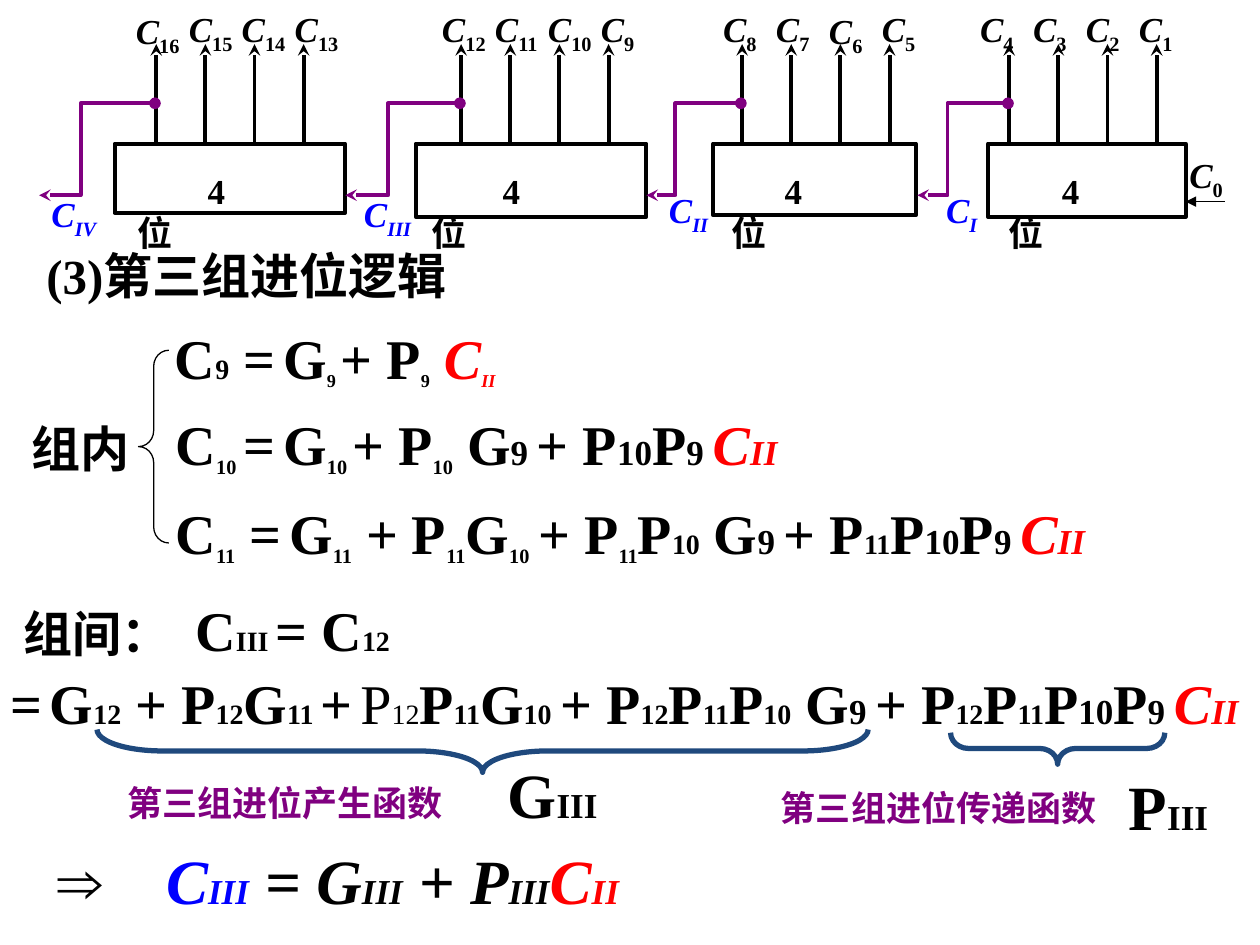
from lxml import etree
from pptx import Presentation
from pptx import util as u
from pptx.dml.color import RGBColor
from pptx.enum import shapes, text
from pptx.oxml.ns import qn

BLACK = RGBColor(0, 0, 0)
RED = RGBColor(0xFF, 0, 0)
BLUE = RGBColor(0, 0, 0xFF)
PURPLE = RGBColor(0x80, 0, 0x80)
NAVY = RGBColor(0x1F, 0x49, 0x7D)
FONT = "Times New Roman"


def add_text(x, y, w, h, runs, color=BLACK, wrap=False, margin=0.1):
    """Runs are (text, size, flags): - subscript, i italic, n not bold, r red, b blue."""
    tf = s.shapes.add_textbox(u.Inches(x), u.Inches(y), u.Inches(w), u.Inches(h)).text_frame
    tf.word_wrap = wrap
    tf.auto_size = text.MSO_AUTO_SIZE.SHAPE_TO_FIT_TEXT
    tf.margin_left = tf.margin_right = u.Inches(margin)
    p = tf.paragraphs[0]
    for words, size, *rest in runs:
        flags = rest[0] if rest else ""
        r = p.add_run()
        r.text = words
        f = r.font
        f.name, f.size = FONT, u.Pt(size)
        f.bold, f.italic = "n" not in flags, "i" in flags
        f.color.rgb = RED if "r" in flags else BLUE if "b" in flags else color
        if "-" in flags:
            r._r.get_or_add_rPr().set("baseline", "-25000")
    return p


def style_line(sp, color, width, head=None, tail=None):
    sp.line.color.rgb = color
    sp.line.width = u.Pt(width)
    spPr = sp._element.spPr
    ln = spPr.find(qn("a:ln"))
    for tag, kind in (("a:headEnd", head), ("a:tailEnd", tail)):
        if kind:
            etree.SubElement(ln, qn(tag)).set("type", kind)
    etree.SubElement(spPr, qn("a:effectLst"))


prs = Presentation()
prs.slide_width, prs.slide_height = u.Inches(10), u.Inches(7.5)
s = prs.slides.add_slide(prs.slide_layouts[6])

# Formulas inside the group
CII = [("C", 32, "ir"), ("II", 20, "ir")]
add_text(1.29, 2.52, 2.92, 0.63, [
    ("C", 32), ("9", 16), (" =", 32), (" ", 18), ("G", 32), ("9 ", 18, "-"), ("+ P", 32),
    ("9", 18, "-"), (" ", 32), ("C", 32, "ir"), ("II", 18, "ir-")])
add_text(1.24, 3.2, 5.12, 0.63, [
    (" ", 16), ("C", 32), ("10", 20, "-"), (" ", 16), ("=", 32), (" ", 18), ("G", 32),
    ("10 ", 20, "-"), ("+ P", 32), ("10", 20, "-"), (" G", 32), ("9 ", 20), ("+ P", 32),
    ("10", 20), ("P", 32), ("9 ", 20)] + CII)
add_text(1.24, 3.91, 7.63, 0.63, [
    (" ", 16), ("C", 32), ("11", 20, "-"), (" =", 32), (" ", 18), ("G", 32),
    ("11", 20, "-"), (" + P", 32), ("11", 20, "-"), ("G", 32), ("10", 20, "-"), (" ", 20),
    ("+ P", 32), ("11", 20, "-"), ("P", 32), ("10", 16), (" G", 32), ("9 ", 20), ("+ P", 32),
    ("11", 16), ("P", 32), ("10", 20), ("P", 32), ("9 ", 20)] + CII)

# Headings and function names
for x, y, w, h, words, size, color in (
        (0.15, 3.27, 2.36, 0.57, "组内", 28, BLACK),
        (0.27, 1.9, 4.02, 0.57, "(3)第三组进位逻辑", 28, BLACK),
        (0.09, 4.74, 2.36, 0.57, "组间：", 28, BLACK),
        (0.91, 6.15, 3.32, 0.44, "第三组进位产生函数", 20, PURPLE),
        (6.1, 6.19, 2.93, 0.44, "第三组进位传递函数", 20, PURPLE)):
    add_text(x, y, w, h, [(words, size)], color, wrap=True)

# Carry between groups
add_text(1.44, 4.68, 3.15, 0.63, [
    (" C", 32), ("III ", 16), ("= C", 32), ("12", 16)], wrap=True, margin=0)
add_text(0.08, 5.26, 9.84, 0.63, [
    ("=", 32), (" ", 18), ("G", 32), ("12", 16), (" + P", 32), ("12", 16), ("G", 32),
    ("11 ", 16), ("+", 32), (" ", 18, "n"), ("P", 32, "n"), ("12", 16, "n"), ("P", 32),
    ("11", 16), ("G", 32), ("10", 16), (" ", 20), ("+ P", 32), ("12", 16), ("P", 32),
    ("11", 16), ("P", 32), ("10", 16), (" G", 32), ("9 ", 20), ("+ P", 32), ("12", 16),
    ("P", 32), ("11", 16), ("P", 32), ("10", 20), ("P", 32), ("9 ", 20)] + CII, margin=0)
for x, y, letter in ((3.93, 5.95, "G"), (8.86, 6.04, "P")):
    add_text(x, y, 1.05, 0.7, [(letter, 36), ("III", 20)], wrap=True)

# Result, with a tab stop after the arrow
p = add_text(0.36, 6.63, 7.08, 0.7, [
    ("⇒\t", 36, "i"), ("C", 36, "ib"), ("III", 20, "ib"), (" = G", 36, "i"), ("III", 20, "i"),
    (" + P", 36, "i"), ("III", 20, "i"), ("C", 36, "ir"), ("II", 20, "ir")], wrap=True)
tabs = etree.SubElement(p._p.get_or_add_pPr(), qn("a:tabLst"))
tab = etree.SubElement(tabs, qn("a:tab"))
tab.set("pos", str(u.Inches(0.86)))
tab.set("algn", "l")

# Braces
for x, y, w, h, rotation, curl, color, width in (
        (1.1, 2.78, 0.24, 1.53, 0, 0.53, BLACK, 0.75),
        (3.66, 2.9, 0.34, 6.12, 270, 1.52, NAVY, 3),
        (8.27, 5.09, 0.25, 1.7, 270, 0.57, NAVY, 3)):
    sp = s.shapes.add_shape(shapes.MSO_SHAPE.LEFT_BRACE, u.Inches(x), u.Inches(y),
                            u.Inches(w), u.Inches(h))
    sp.adjustments[0] = curl
    sp.rotation = rotation
    sp.fill.background()
    style_line(sp, color, width)

# Four-bit adders: box, label x and indent, wires, carry path and carry label
ADDERS = (
    (16, 0.91, 1.83, 0.55, 0.99, 0.56, 1.24, 0.98, 0.64, 0.31, "IV", 0.31, 1.48),
    (12, 3.3, 1.83, 0.58, 3.33, 0.56, 3.66, 3.41, 3.08, 2.74, "III", 2.79, 1.48),
    (8, 5.66, 1.61, 0.57, 5.71, 0.42, 5.89, 5.64, 5.36, 5.13, "II", 5.21, 1.45),
    (4, 7.84, 1.57, 0.58, 7.91, 0.42, 8.01, 7.68, 7.52, 7.28, "I", 7.41, 1.45))
for (top_bit, box_x, box_w, box_h, label_x, indent, wire_x, bit_x,
     corner_x, end_x, carry, carry_x, carry_y) in ADDERS:
    sp = s.shapes.add_shape(shapes.MSO_SHAPE.RECTANGLE, u.Inches(box_x), u.Inches(1.14),
                            u.Inches(box_w), u.Inches(box_h))
    sp.fill.background()
    style_line(sp, BLACK, 2.25)
    p = add_text(label_x, 1.3, indent + 0.55, 0.76, [("4位", 20)], wrap=True)
    p._p.get_or_add_pPr().set("indent", str(u.Inches(indent)))

    for i in range(4):
        x = u.Inches(wire_x + 0.39 * i)
        sp = s.shapes.add_connector(shapes.MSO_CONNECTOR.STRAIGHT,
                                    x, u.Inches(1.15), x, u.Inches(0.35))
        style_line(sp, BLACK, 2.25, tail="stealth")
        bit = top_bit - i
        add_text(bit_x + 0.42 * i, 0.03 if bit in (16, 6) else 0.01,
                 0.57 if bit > 9 else 0.48, 0.43, [("C", 20, "i"), (str(bit), 20, "-")])

    fb = s.shapes.build_freeform(u.Inches(wire_x - 0.01), u.Inches(0.82))
    fb.add_line_segments([(u.Inches(x), u.Inches(y)) for x, y in (
        (corner_x, 0.82), (corner_x, 1.55), (end_x, 1.55))], close=False)
    sp = fb.convert_to_shape()
    sp.fill.background()
    style_line(sp, PURPLE, 2.25, head="oval", tail="stealth")
    add_text(carry_x, carry_y, 0.82 if carry in ("III", "IV") else 0.58, 0.43,
             [("C", 20, "i"), (carry, 20, "i-")], BLUE, wrap=True)

# Carry input
add_text(9.34, 1.17, 0.58, 0.43, [("C", 20, "i"), ("0", 20, "-")], wrap=True)
sp = s.shapes.add_connector(shapes.MSO_CONNECTOR.STRAIGHT, u.Inches(9.41), u.Inches(1.6),
                            u.Inches(9.72), u.Inches(1.6))
style_line(sp, BLACK, 0.75, head="triangle")

prs.save("out.pptx")
